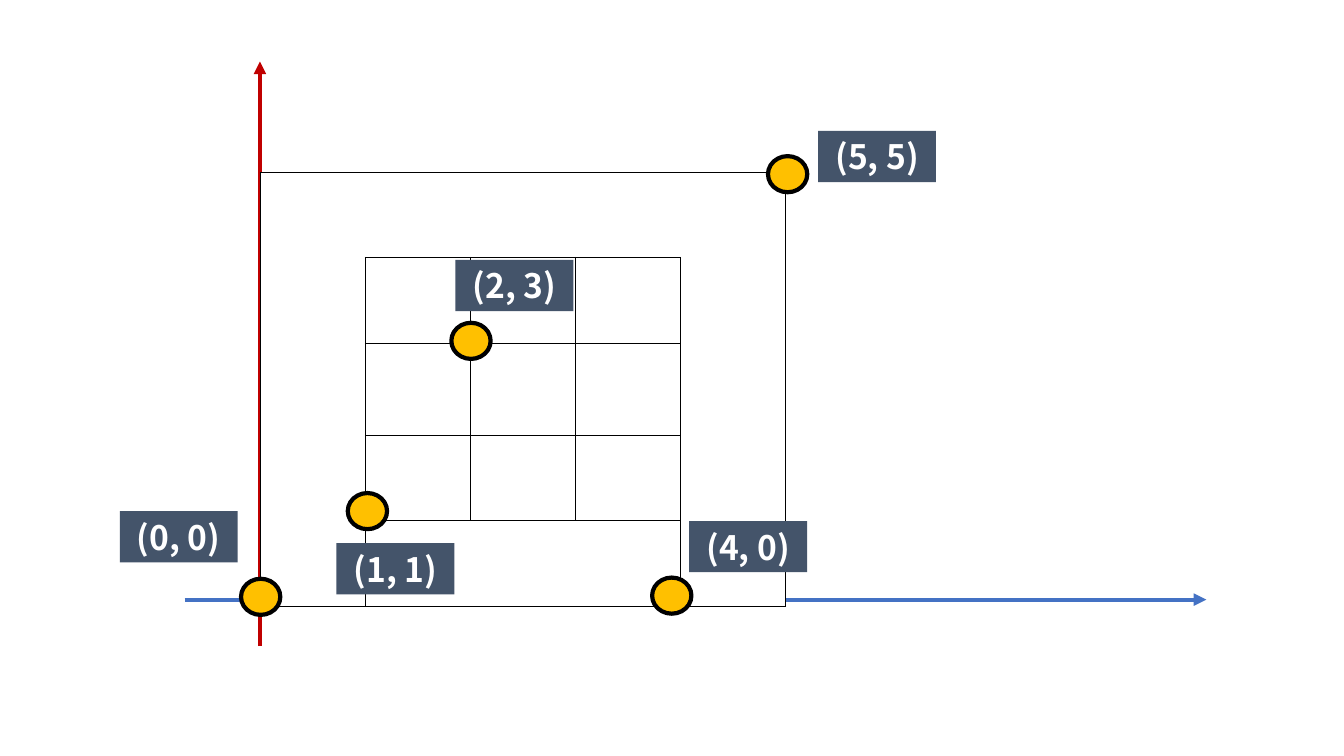
from lxml.etree import SubElement
from pptx import Presentation
from pptx.dml.color import RGBColor
from pptx.enum.shapes import MSO_CONNECTOR, MSO_SHAPE
from pptx.enum.text import MSO_ANCHOR, PP_ALIGN
from pptx.oxml.ns import qn
from pptx.util import Cm, Pt

FONT = "Noto Sans CJK JP"
COLORS = {
    "x_axis": "4472C4",
    "y_axis": "C00000",
    "marker": "FFC000",
    "label": "44546A",
    "line": "000000",
    "paper": "FFFFFF",
}
COLUMN_WIDTHS = [2.65, 2.65, 1.32, 1.32, 2.65, 2.65]
ROW_HEIGHTS = [2.15, 2.15, 0.58, 1.75, 2.15, 2.15]

# row, column, rows spanned, columns spanned, border widths in points
REGIONS = [
    (0, 0, 3, 1, {"L": 0.5, "T": 0.5}),
    (0, 1, 1, 2, {"T": 0.5, "B": 1}),
    (0, 3, 1, 2, {"T": 0.5, "B": 1}),
    (0, 5, 3, 1, {"T": 0.5, "R": 0.5}),
    (1, 1, 1, 1, {"L": 1, "R": 0.5, "T": 1, "B": 0.5}),
    (1, 2, 1, 2, {"L": 0.5, "R": 0.5, "T": 1, "B": 0.5}),
    (1, 4, 1, 1, {"L": 0.5, "R": 1, "T": 1, "B": 0.5}),
    (2, 1, 2, 1, {"L": 1, "R": 0.5, "T": 0.5, "B": 0.5}),
    (2, 2, 2, 2, {"L": 0.5, "R": 0.5, "T": 0.5, "B": 0.5}),
    (2, 4, 2, 1, {"L": 0.5, "R": 1, "T": 0.5, "B": 0.5}),
    (3, 0, 3, 1, {"L": 0.5, "R": 1, "B": 0.5}),
    (3, 5, 3, 1, {"L": 1, "R": 0.5, "B": 0.5}),
    (4, 1, 1, 1, {"L": 1, "R": 0.5, "T": 0.5, "B": 1}),
    (4, 2, 1, 2, {"L": 0.5, "R": 0.5, "T": 0.5, "B": 1}),
    (4, 4, 1, 1, {"L": 0.5, "R": 1, "T": 0.5, "B": 1}),
    (5, 1, 1, 2, {"T": 1, "B": 0.5}),
    (5, 3, 1, 2, {"T": 1, "B": 0.5}),
]

# text, centre of the marker, offset from there to the label's corner
POINTS = [
    ("(5, 5)", (19.85, 4.39), (0.77, -1.09)),
    ("(0, 0)", (6.57, 15.04), (-3.55, -2.16)),
    ("(1, 1)", (9.26, 12.88), (-0.78, 0.81)),
    ("(2, 3)", (11.87, 8.59), (-0.39, -2.04)),
    ("(4, 0)", (16.93, 15.01), (0.44, -1.88)),
]


def color(name):
    return RGBColor.from_string(COLORS[name])


def add_axis(slide, start, end, color_name):
    axis = slide.shapes.add_connector(
        MSO_CONNECTOR.STRAIGHT, *(Cm(value) for value in start + end))
    axis.line.color.rgb = color(color_name)
    axis.line.width = Pt(3)
    properties = axis.line._get_or_add_ln()
    SubElement(properties, qn("a:tailEnd"), type="triangle")
    SubElement(axis._element.spPr, qn("a:effectLst"))


def format_cell(cell, borders):
    """Draw the given borders, hide the others and keep the empty text small."""
    properties = cell._tc.get_or_add_tcPr()
    for side in "LRTB":
        width = borders.get(side, 0)
        border = SubElement(properties, qn(f"a:ln{side}"), w=str(Pt(width)))
        if width:
            fill = SubElement(border, qn("a:solidFill"))
            SubElement(fill, qn("a:srgbClr"), val=COLORS["line"])
        else:
            SubElement(border, qn("a:noFill"))
    cell.fill.solid()
    cell.fill.fore_color.rgb = color("paper")
    cell.margin_top = cell.margin_bottom = 0
    paragraph = cell.text_frame.paragraphs[0]
    SubElement(paragraph._p, qn("a:endParaRPr"), sz="800")


def add_grid(slide, left, top):
    frame = slide.shapes.add_table(
        len(ROW_HEIGHTS), len(COLUMN_WIDTHS), Cm(left), Cm(top),
        Cm(sum(COLUMN_WIDTHS)), Cm(sum(ROW_HEIGHTS)))
    table = frame.table
    table.first_row = table.horz_banding = False
    for column, width in zip(table.columns, COLUMN_WIDTHS):
        column.width = Cm(width)
    for row, height in zip(table.rows, ROW_HEIGHTS):
        row.height = Cm(height)
    for top_row, left_column, row_span, column_span, borders in REGIONS:
        for row in range(top_row, top_row + row_span):
            for column in range(left_column, left_column + column_span):
                format_cell(table.cell(row, column), borders)
        if row_span * column_span > 1:
            table.cell(top_row, left_column).merge(table.cell(
                top_row + row_span - 1, left_column + column_span - 1))


def add_filled_shape(slide, kind, left, top, width, height, color_name):
    shape = slide.shapes.add_shape(
        kind, Cm(left), Cm(top), Cm(width), Cm(height))
    shape.shadow.inherit = False
    shape.fill.solid()
    shape.fill.fore_color.rgb = color(color_name)
    return shape


def add_point(slide, text, center, offset):
    """Add a round marker at center and its coordinate label beside it."""
    x, y = center
    width, height = 0.99, 0.91
    marker = add_filled_shape(slide, MSO_SHAPE.OVAL, x - width / 2,
                              y - height / 2, width, height, "marker")
    marker.line.color.rgb = color("line")
    marker.line.width = Pt(3)

    label = add_filled_shape(slide, MSO_SHAPE.RECTANGLE, x + offset[0],
                             y + offset[1], 2.97, 1.29, "label")
    label.line.fill.background()
    text_frame = label.text_frame
    text_frame.text = text
    text_frame.word_wrap = False
    text_frame.vertical_anchor = MSO_ANCHOR.MIDDLE
    paragraph = text_frame.paragraphs[0]
    paragraph.alignment = PP_ALIGN.CENTER
    font = paragraph.runs[0].font
    font.name = FONT
    font.size = Pt(24)
    font.bold = True
    font.color.rgb = color("paper")
    run_properties = paragraph.runs[0]._r.get_or_add_rPr()
    SubElement(run_properties, qn("a:ea"), typeface=FONT)


def main():
    presentation = Presentation()
    presentation.slide_width = Cm(33.87)
    presentation.slide_height = Cm(19.05)
    slide = presentation.slides.add_slide(presentation.slide_layouts[6])
    add_axis(slide, (4.65, 15.11), (30.4, 15.11), "x_axis")
    add_axis(slide, (6.55, 16.28), (6.55, 1.55), "y_axis")
    add_grid(slide, 6.56, 4.34)
    for text, center, offset in POINTS:
        add_point(slide, text, center, offset)
    presentation.save("out.pptx")


if __name__ == "__main__":
    main()
